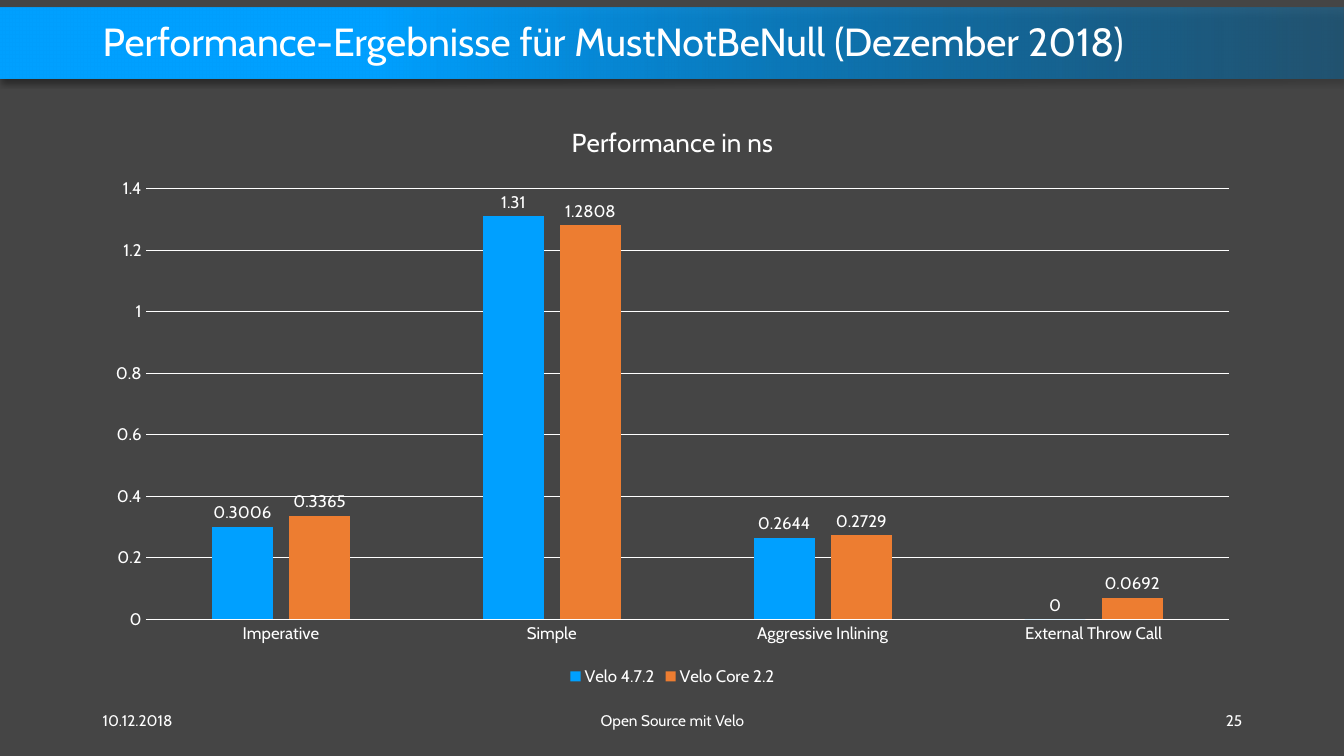
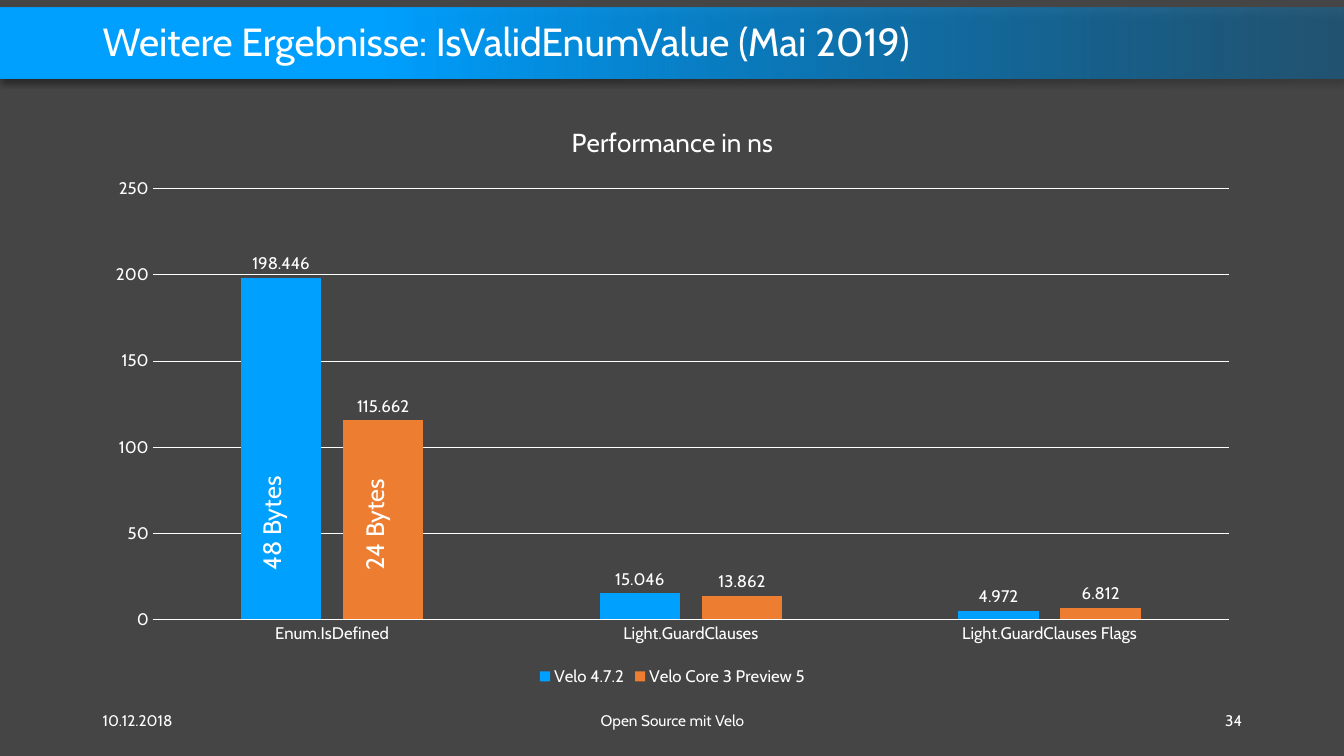
from lxml.etree import SubElement
from pptx import Presentation
from pptx.chart.data import CategoryChartData as Data
from pptx.dml.color import RGBColor as Rgb
from pptx.enum.chart import (XL_CHART_TYPE as Kind, XL_LABEL_POSITION as Spot,
                             XL_LEGEND_POSITION as Side, XL_TICK_MARK as Tick)
from pptx.enum.shapes import MSO_SHAPE as Shape
from pptx.enum.text import MSO_ANCHOR as Anchor, PP_ALIGN as Align
from pptx.oxml.ns import qn
from pptx.util import Inches, Pt

FONT = "Cabin"
HUES = {"back": "454545", "text": "FFFFFF", "blue": "00A0FF",
        "deep": "0078BF", "orange": "ED7D31", "shade": "000000"}
WIDE, HIGH = 13.33, 7.5
EDGE, SPAN = 0.92, 11.5
BAND = (0, 0.08, WIDE, 0.7)
HEAD = (EDGE, 0.16, SPAN, 0.55)
BODY = (EDGE, 1.02, SPAN, 5.83)
FOOT = (EDGE, 6.95, SPAN, 0.4)

SLIDES = [
    {"title": "Performance-Ergebnisse für MustNotBeNull (Dezember 2018)",
     "page": "25",
     "cats": ["Imperative", "Simple", "Aggressive Inlining",
              "External Throw Call"],
     "series": {"Velo 4.7.2": (0.3006, 1.31, 0.2644, 0),
                "Velo Core 2.2": (0.3365, 1.2808, 0.2729, 0.0692)},
     "notes": []},
    {"title": "Weitere Ergebnisse: IsValidEnumValue (Mai 2019)",
     "page": "34",
     "cats": ["Enum.IsDefined", "Light.GuardClauses",
              "Light.GuardClauses Flags"],
     "series": {"Velo 4.7.2": (198.446, 15.046, 4.972),
                "Velo Core 3 Preview 5": (115.662, 13.862, 6.812)},
     "notes": ["48 Bytes", "24 Bytes"]},
]


def rgb(name):
    return Rgb.from_string(HUES[name])


def place(box):
    return [Inches(part) for part in box]


def style(font, size):
    font.name, font.size, font.bold = FONT, Pt(size), False
    font.color.rgb = rgb("text")


def add_text(slide, box, text, size, align=Align.LEFT, anchor=Anchor.MIDDLE):
    frame = slide.shapes.add_textbox(*place(box)).text_frame
    frame.word_wrap = True
    frame.vertical_anchor = anchor
    frame.text = text
    para = frame.paragraphs[0]
    para.alignment = align
    style(para.runs[0].font, size)
    return frame


def add_alpha(color, share):
    SubElement(color, qn("a:alpha"), val=str(share * 1000))


def add_band(slide, box):
    band = slide.shapes.add_shape(Shape.RECTANGLE, *place(box))
    band.line.fill.background()
    band.fill.gradient()
    band.fill.gradient_angle = 180
    stops = band.fill.gradient_stops
    for stop, hue, spot in zip(stops, ("deep", "blue"), (0, 0.72)):
        stop.color.rgb = rgb(hue)
        stop.position = spot
    props = band._element.spPr
    add_alpha(props.find(".//" + qn("a:srgbClr")), 40)
    band.shadow.inherit = False
    drop = SubElement(props.find(qn("a:effectLst")), qn("a:outerShdw"),
                      blurRad=str(Pt(4)), dist=str(Pt(3)), dir="5400000",
                      algn="t", rotWithShape="0")
    add_alpha(SubElement(drop, qn("a:srgbClr"), val=HUES["shade"]), 40)


def add_head(slide, box, text):
    frame = add_text(slide, box, text, 28)
    frame.paragraphs[0].line_spacing = 0.9


def add_foot(slide, box, page):
    left, top, width, height = box
    side, mid = 3, 4.5
    cells = [(left, side, "10.12.2018", Align.LEFT),
             (left + (width - mid) / 2, mid, "Open Source mit Velo",
              Align.CENTER),
             (left + width - side, side, page, Align.RIGHT)]
    for x, wide, text, align in cells:
        add_text(slide, (x, top, wide, height), text, 11, align)


def set_line(line, hue="text"):
    line.color.rgb = rgb(hue)
    line.width = Pt(0.75)


def add_bars(slide, box, cats, series):
    data = Data()
    data.categories = cats
    for name, vals in series.items():
        data.add_series(name, vals)
    chart = slide.shapes.add_chart(Kind.COLUMN_CLUSTERED, *place(box),
                                   data).chart
    style(chart.font, 12)
    chart.has_title = True
    title = chart.chart_title.text_frame
    title.text = "Performance in ns"
    style(title.paragraphs[0].runs[0].font, 18.6)
    chart.has_legend = True
    chart.legend.position = Side.BOTTOM
    chart.legend.include_in_layout = False
    style(chart.legend.font, 12)

    for axis in (chart.category_axis, chart.value_axis):
        axis.major_tick_mark = axis.minor_tick_mark = Tick.NONE
        style(axis.tick_labels.font, 12)
    set_line(chart.category_axis.format.line)
    chart.value_axis.format.line.fill.background()
    set_line(chart.value_axis.major_gridlines.format.line)

    plot = chart.plots[0]
    plot.gap_width, plot.overlap = 219, -27
    plot.vary_by_categories = False
    for bars, hue in zip(plot.series, ("blue", "orange")):
        bars.format.fill.solid()
        bars.format.fill.fore_color.rgb = rgb(hue)
        bars.invert_if_negative = False
        labels = bars.data_labels
        labels.show_value = True
        labels.position = Spot.OUTSIDE_END
        style(labels.font, 12)


def add_notes(slide, box, notes):
    """Upright labels inside the first group of bars."""
    left, top, width, height = box
    for i, note in enumerate(notes):
        spot = (left + 1.57 + i * 1.02, top + 3.51, 0.5, 1.23)
        frame = add_text(slide, spot, note, 18, anchor=Anchor.TOP)
        frame._txBody.bodyPr.set("vert", "vert270")


def add_slide(deck, item):
    slide = deck.slides.add_slide(deck.slide_layouts[6])
    fill = slide.background.fill
    fill.solid()
    fill.fore_color.rgb = rgb("back")
    add_band(slide, BAND)
    add_head(slide, HEAD, item["title"])
    add_bars(slide, BODY, item["cats"], item["series"])
    add_foot(slide, FOOT, item["page"])
    add_notes(slide, BODY, item["notes"])


def main():
    deck = Presentation()
    deck.slide_width, deck.slide_height = Inches(WIDE), Inches(HIGH)
    for item in SLIDES:
        add_slide(deck, item)
    deck.save("out.pptx")


if __name__ == "__main__":
    main()
